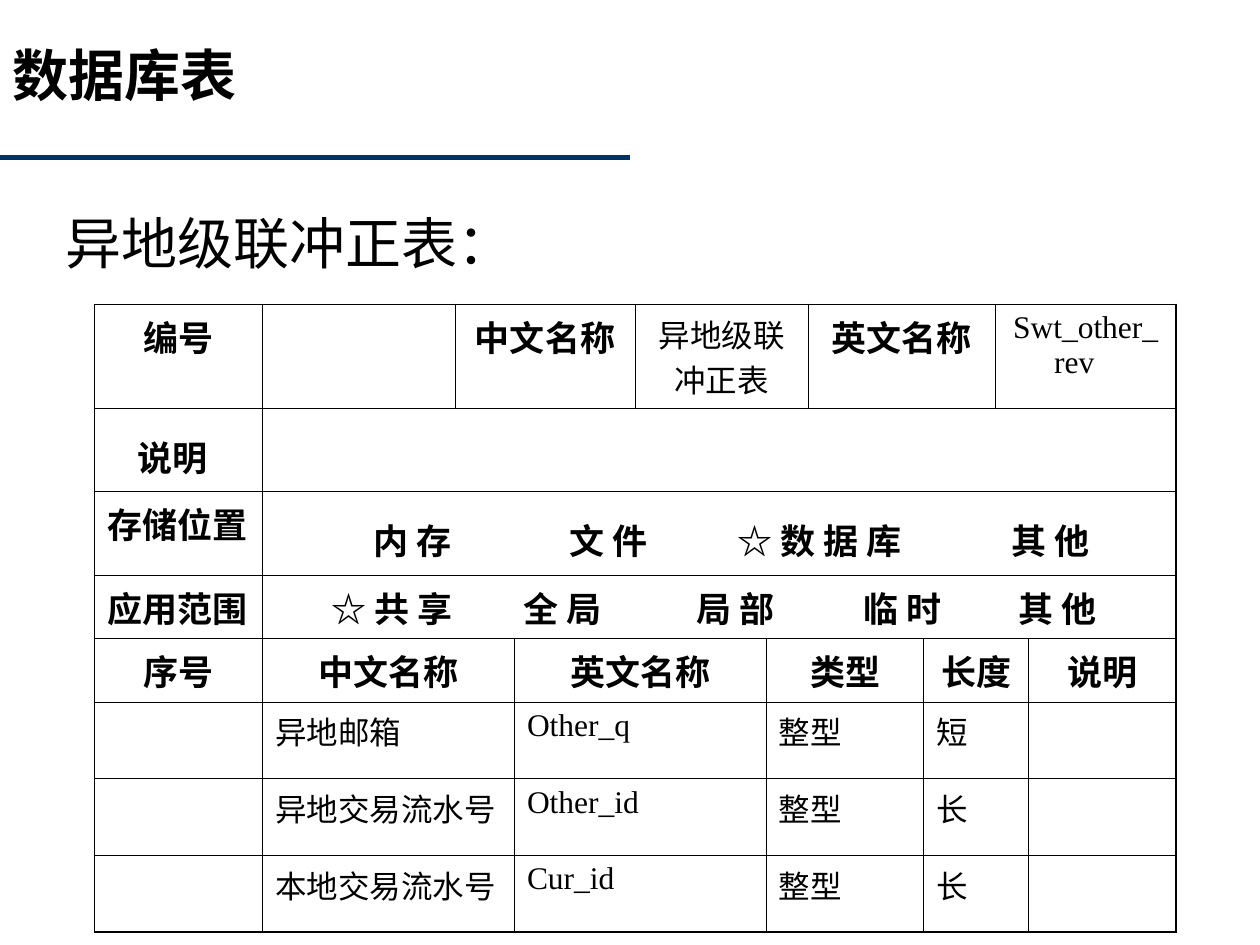
import dataclasses
import pptx
import pptx.dml.color
import pptx.enum.shapes
import pptx.enum.text
import pptx.oxml
import pptx.oxml.ns
import pptx.util

Pt = pptx.util.Pt
Align = pptx.enum.text.PP_ALIGN
qn = pptx.oxml.ns.qn


@dataclasses.dataclass
class Theme:
    ink: str = "000000"
    navy: str = "003366"
    latin: str = "Times New Roman"
    asian: str = "Noto Sans CJK SC"
    big: int = 32
    tall: int = 28
    head: int = 20
    text: int = 18
    rule: float = 3
    edge: float = 1.08
    grid: float = 0.45


class Deck:
    def __init__(self, theme):
        self.theme = theme
        self.show = pptx.Presentation()
        self.show.slide_width, self.show.slide_height = Pt(720), Pt(540)
        self.slide = self.show.slides.add_slide(self.show.slide_layouts[1])

    def color(self, code):
        return pptx.dml.color.RGBColor.from_string(code)

    def tag(self, owner, name, **attrs):
        node = owner.makeelement(qn(name), {k: str(v) for k, v in attrs.items()})
        owner.append(node)
        return node

    def style(self, para, size, bold=False, face=None):
        font = para.font
        font.size, font.bold = Pt(size), bold
        font.name = face or self.theme.latin
        font.color.rgb = self.color(self.theme.ink)
        self.tag(para._p.pPr.find(qn("a:defRPr")), "a:ea", typeface=self.theme.asian)

    def line(self, start, end):
        kind = pptx.enum.shapes.MSO_CONNECTOR.STRAIGHT
        rule = self.slide.shapes.add_connector(kind, *map(Pt, start + end))
        rule.line.color.rgb = self.color(self.theme.navy)
        rule.line.width = Pt(self.theme.rule)
        self.tag(rule._element.spPr, "a:effectLst")

    def holder(self, index, box, text, align, left, indent, bold=False, face=None):
        shape = self.slide.placeholders[index]
        shape.left, shape.top, shape.width, shape.height = map(Pt, box)
        frame = shape.text_frame
        frame.word_wrap = True
        frame.auto_size = pptx.enum.text.MSO_AUTO_SIZE.NONE
        frame.vertical_anchor = pptx.enum.text.MSO_ANCHOR.TOP
        para = frame.paragraphs[0]
        para.text = text
        para.alignment = align
        para.line_spacing = 0.9
        para.space_before = Pt(0)
        props = para._p.get_or_add_pPr()
        props.set("marL", str(Pt(left)))
        props.set("indent", str(Pt(indent)))
        self.tag(props, "a:buNone")
        self.style(para, self.theme.big, bold, face)

    def border(self, cell, side, width):
        props = cell._tc.get_or_add_tcPr()
        line = self.tag(props, "a:ln" + side, w=Pt(width))
        fill = self.tag(line, "a:solidFill")
        self.tag(fill, "a:srgbClr", val=self.theme.ink)

    def label(self, cell, text, size, bold, align, tabs=(), tall=False):
        para = cell.text_frame.paragraphs[0]
        para.text = text
        para.alignment = align
        if tabs:
            stops = self.tag(para._p.get_or_add_pPr(), "a:tabLst")
            for stop in tabs:
                self.tag(stops, "a:tab", pos=Pt(stop), algn="l")
        self.style(para, size, bold)
        if tall:
            run = para.add_run()
            run.text = " "
            run.font.size = Pt(self.theme.tall)
            run.font.bold = False

    def table(self, left, top, cols, rows, data):
        frame = self.slide.shapes.add_table(
            len(rows), len(cols), Pt(left), Pt(top), Pt(sum(cols)), Pt(sum(rows)))
        table = frame.table
        table.first_row = table.horz_banding = False
        for col, width in zip(table.columns, cols):
            col.width = Pt(width)
        for row, height in zip(table.rows, rows):
            row.height = Pt(height)
        for r, (spans, items) in enumerate(data):
            c = 0
            for span, item in zip(spans, items):
                cell = table.cell(r, c)
                if span > 1:
                    cell.merge(table.cell(r, c + span - 1))
                if item:
                    self.label(cell, **item)
                c += span
        edge, grid = self.theme.edge, self.theme.grid
        for r in range(len(rows)):
            for c in range(len(cols)):
                cell = table.cell(r, c)
                outer = {"L": c == 0, "R": c + cell.span_width == len(cols),
                         "T": r == 0, "B": r == len(rows) - 1}
                for side, out in outer.items():
                    self.border(cell, side, edge if out else grid)
                cell.fill.background()


def main():
    theme = Theme()
    deck = Deck(theme)

    def head(text, align=Align.CENTER, **more):
        return dict(text=text, size=theme.head, bold=True, align=align, **more)

    def body(text, align=Align.LEFT):
        return dict(text=text, size=theme.text, bold=False, align=align)

    def picks(words, tabs, **more):
        return head("".join("\t" + word for word in words), Align.LEFT, tabs=tabs, **more)

    deck.line((0, 90), (360, 90))
    deck.holder(0, (-36, 24, 582, 90), "数据库表", Align.LEFT, 36, 0, True, theme.asian)
    deck.holder(1, (30, 120, 642, 48), "异地级联冲正表：", Align.JUSTIFY, 27, -27)

    names = (1, 1, 2, 2, 2, 2)
    wide = (1, 9)
    field = (1, 2, 2, 2, 2, 1)
    places = ["内 存", "文 件", "☆ 数 据 库", "其 他"]
    scopes = ["☆ 共 享", "全 局", "局 部", "临 时", "其 他"]
    heads = ["序号", "中文名称", "英文名称", "类型", "长度", "说明"]
    fields = [("异地邮箱", "Other_q", "整型", "短"),
              ("异地交易流水号", "Other_id", "整型", "长"),
              ("本地交易流水号", "Cur_id", "整型", "长")]
    data = [
        (names, [head("编号"), None, head("中文名称"), body("异地级联冲正表", Align.CENTER),
                 head("英文名称"), body("Swt_other_rev\t", Align.CENTER)]),
        (wide, [head("说明", tall=True), None]),
        (wide, [head("存储位置", Align.LEFT),
                picks(places, (56, 168, 264, 421), tall=True)]),
        (wide, [head("应用范围", Align.LEFT), picks(scopes, (32, 142, 241, 336, 425))]),
        (field, [head(text) for text in heads]),
    ]
    data += [(field, [None, *map(body, texts), None]) for texts in fields]
    cols = [96, 110, 34, 69, 75, 24, 66, 41, 19, 84]
    rows = [50.4, 41, 41, 31.7, 31.7, 43.8, 43.8, 43.8]
    deck.table(54, 174, cols, rows, data)
    deck.show.save("out.pptx")


if __name__ == "__main__":
    main()
